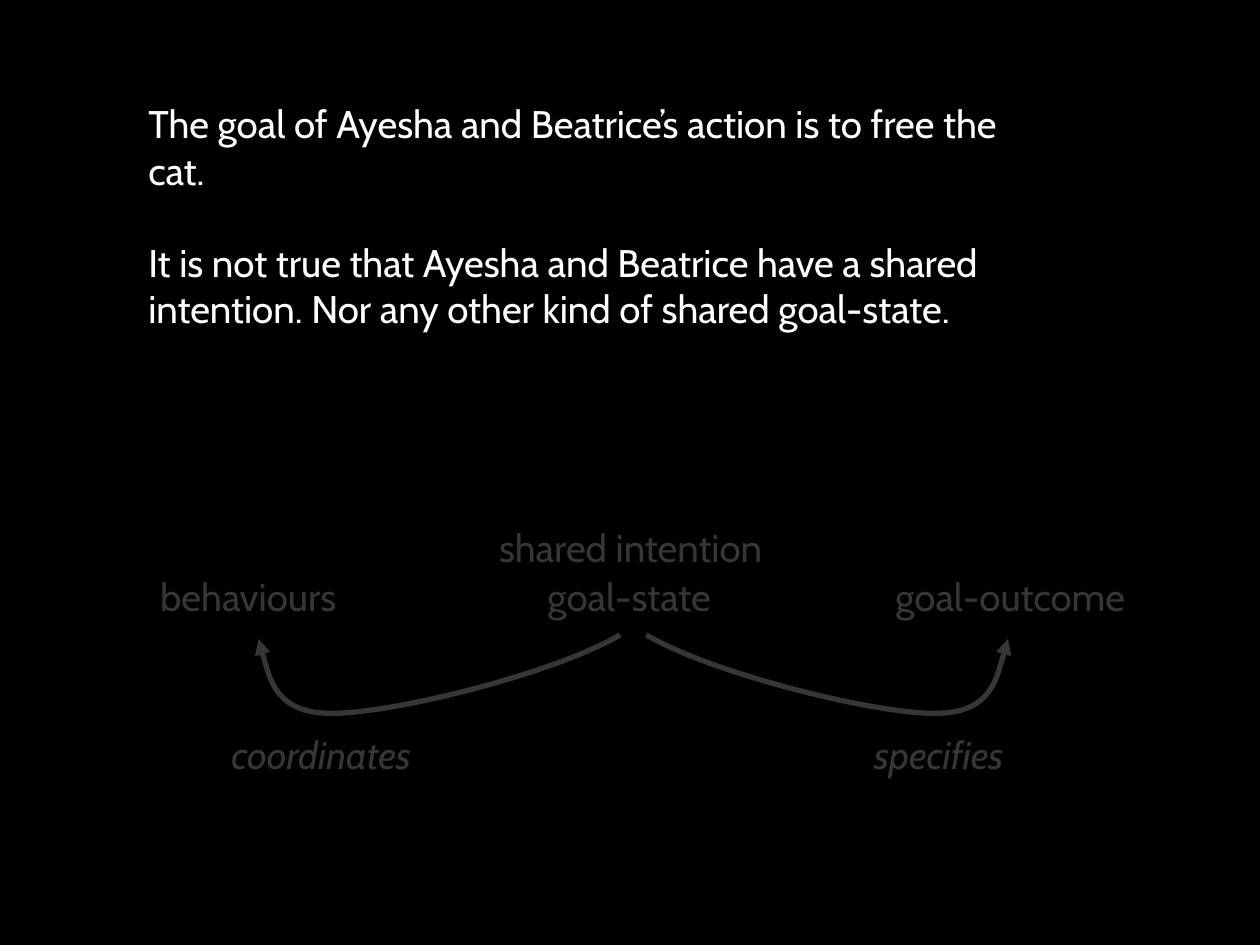
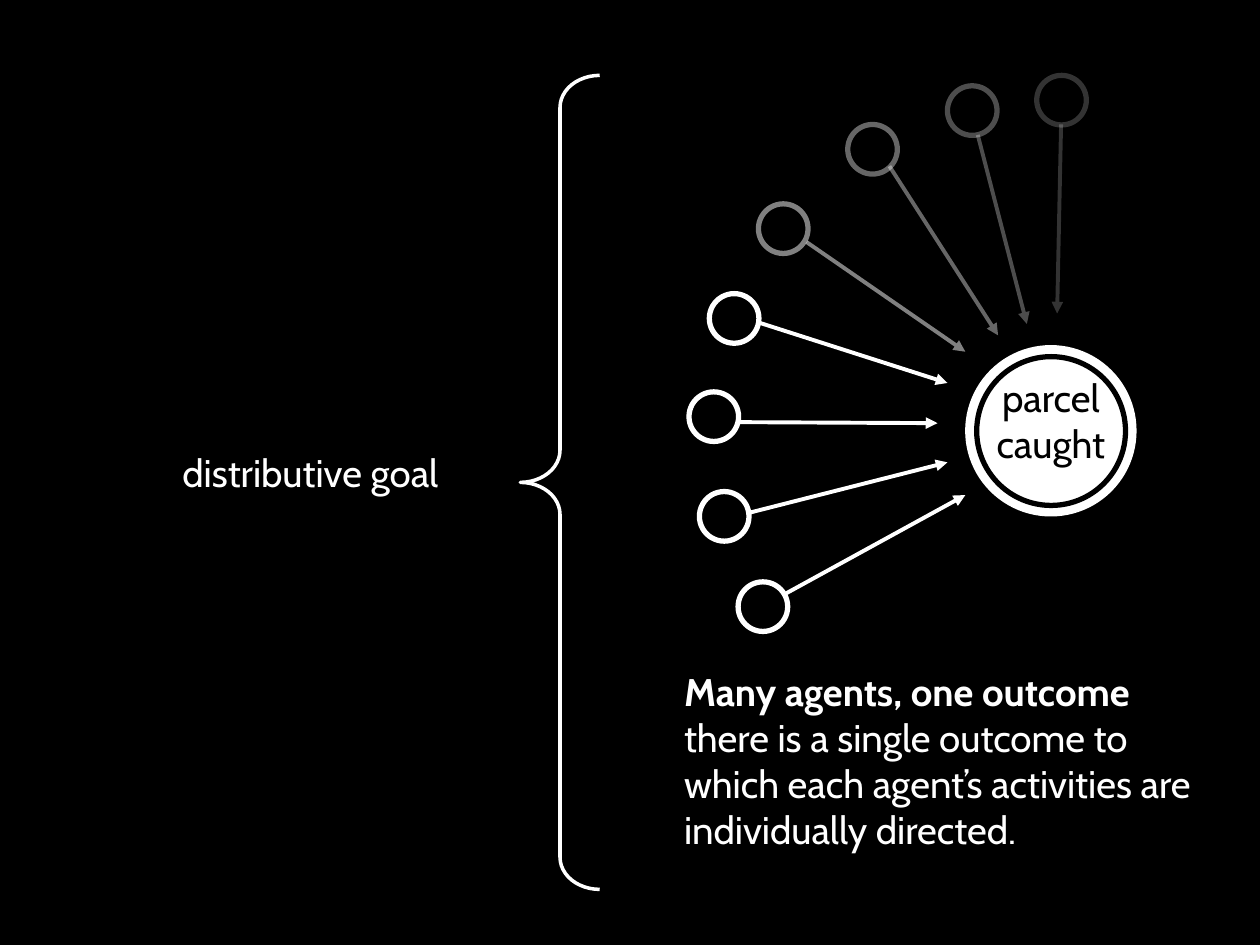
import pptx
import pptx.dml.color
import pptx.enum.shapes
import pptx.enum.text
import pptx.oxml
import pptx.oxml.ns
import pptx.util
from lxml import etree

Cm = pptx.util.Cm
SHAPE = pptx.enum.shapes.MSO_SHAPE
ALIGN = pptx.enum.text.PP_ALIGN
qn = pptx.oxml.ns.qn

BLACK = "000000"
WHITE = "FFFFFF"


def rgb(hex_colour):
    return pptx.dml.color.RGBColor.from_string(hex_colour)


class Deck:
    """Holds the shared style and the slide being filled."""

    font_name = "Cabin"
    font_size = 22
    label_height = 1.19

    def __init__(self):
        self.presentation = pptx.Presentation()
        self.presentation.slide_width = Cm(25.4)
        self.presentation.slide_height = Cm(19.05)
        self.paint(self.presentation.slide_master.background.fill, BLACK)
        self.slide = None

    def new_slide(self):
        blank = self.presentation.slide_layouts[6]
        self.slide = self.presentation.slides.add_slide(blank)

    def paint(self, fill, colour, opacity=100):
        if colour is None:
            fill.background()
            return
        fill.solid()
        fill.fore_color.rgb = rgb(colour)
        if opacity < 100:
            # The fill's own colour element takes the transparency
            colour_element = fill._xPr.find(".//" + qn("a:srgbClr"))
            alpha = etree.SubElement(colour_element, qn("a:alpha"))
            alpha.set("val", str(opacity * 1000))

    def stroke(self, line, colour, width, opacity=100, arrow=False):
        self.paint(line.fill, colour, opacity)
        line.width = pptx.util.Pt(width)
        if arrow:
            tip = etree.SubElement(line._get_or_add_ln(), qn("a:tailEnd"))
            tip.set("type", "triangle")

    def text(self, left, top, width, height, paragraphs, colour=WHITE,
             align=ALIGN.LEFT, italic=False, gap=0):
        """Each paragraph is a list of (text, bold) runs."""
        box = self.slide.shapes.add_textbox(
            Cm(left), Cm(top), Cm(width), Cm(height))
        frame = box.text_frame
        frame.word_wrap = True
        for index, pieces in enumerate(paragraphs):
            paragraph = frame.add_paragraph() if index else frame.paragraphs[0]
            paragraph.alignment = align
            if index:
                paragraph.space_before = pptx.util.Pt(gap)
            for wording, bold in pieces:
                if "\n" in wording:
                    paragraph.text = wording.replace("\n", "\v")
                else:
                    paragraph.add_run().text = wording
                    paragraph.runs[-1].font.bold = bold
            for run in paragraph.runs:
                run.font.name = self.font_name
                run.font.size = pptx.util.Pt(self.font_size)
                run.font.italic = italic
                run.font.color.rgb = rgb(colour)

    def label(self, left, top, width, wording, align=ALIGN.CENTER,
              italic=False):
        self.text(left, top, width, self.label_height, [[(wording, False)]],
                  align=align, italic=italic)

    def shape(self, preset, left, top, width, height, fill=None, line=None,
              line_width=3, fill_opacity=100, line_opacity=100):
        shape = self.slide.shapes.add_shape(
            preset, Cm(left), Cm(top), Cm(width), Cm(height))
        shape.shadow.inherit = False
        self.paint(shape.fill, fill, fill_opacity)
        self.stroke(shape.line, line, line_width, line_opacity)
        return shape

    def circle(self, left, top, size, **style):
        return self.shape(SHAPE.OVAL, left, top, size, size, **style)

    def arrow(self, start, end, opacity=100):
        connector = self.slide.shapes.add_connector(
            pptx.enum.shapes.MSO_CONNECTOR.STRAIGHT,
            *(Cm(length) for length in start + end))
        self.stroke(connector.line, WHITE, 2.25, opacity, arrow=True)
        etree.SubElement(connector._element.spPr, qn("a:effectLst"))

    def curved_arrow(self, points):
        """Draws a start point followed by groups of three Bézier points."""
        start, *rest = [(Cm(x), Cm(y)) for x, y in points]
        builder = self.slide.shapes.build_freeform(*start)
        builder.add_line_segments(rest, close=False)
        curve = builder.convert_to_shape()
        curve.shadow.inherit = False
        self.paint(curve.fill, None)
        self.stroke(curve.line, WHITE, 3, arrow=True)

        # Turn every three straight segments into one cubic segment
        outline = curve._element.find(".//" + qn("a:path"))
        segments = outline.findall(qn("a:lnTo"))
        for first in range(0, len(segments), 3):
            cubic = etree.SubElement(outline, qn("a:cubicBezTo"))
            for segment in segments[first:first + 3]:
                cubic.append(segment[0])
                outline.remove(segment)


def shared_intention_slide(deck):
    deck.new_slide()

    # Diagram labels
    label_width = 5.33
    for column, part in enumerate(["behaviours", "goal-state", "goal-outcome"]):
        deck.label(2.34 + 7.68 * column, 11.43, label_width, part)
    deck.label(8.69, 10.44, 8.05, "shared intention")
    for left, relation in [(3.81, "coordinates"), (16.26, "specifies")]:
        deck.label(left, 14.61, label_width, relation, italic=True)

    # Mirrored arrows from the goal-state
    to_behaviours = [(12.5, 12.8), (11.15, 13.59), (7.92, 14.38), (6.71, 14.38),
                     (5.49, 14.4), (5.21, 12.88), (5.21, 12.88)]
    mirror_sum = 25.53
    to_outcome = [(mirror_sum - x, y) for x, y in to_behaviours]
    deck.curved_arrow(to_behaviours)
    deck.curved_arrow(to_outcome)

    # Claims
    deck.text(2.74, 1.9, 18.62, 4.95, [
        [("The goal of Ayesha and Beatrice’s action is to free the cat.",
          False)],
        [("It is not true that Ayesha and Beatrice have a shared intention. "
          "Nor any other kind of shared goal-state.", False)],
    ], gap=26.5)

    # Veil that dims the diagram
    deck.shape(SHAPE.RECTANGLE, 2.31, 9.73, 21.01, 6.81,
               fill=BLACK, fill_opacity=79)


def distributive_goal_slide(deck):
    deck.new_slide()

    # Agents: circle corner, arrow start, arrow end, opacity
    agents = [
        ((14.88, 11.73), (15.85, 11.96), (19.46, 9.98), 100),
        ((14.1, 9.91), (15.09, 10.34), (19.1, 9.32), 100),
        ((13.89, 7.9), (14.91, 8.51), (18.9, 8.53), 100),
        ((14.3, 5.92), (15.29, 6.5), (19.1, 7.72), 100),
        ((15.29, 4.11), (16.26, 4.88), (19.46, 7.09), 50),
        ((17.09, 2.51), (17.93, 3.35), (20.12, 6.76), 40),
        ((19.1, 1.73), (19.71, 2.72), (20.7, 6.53), 30),
        ((20.9, 1.52), (21.39, 2.51), (21.31, 6.32), 20),
    ]
    for corner, start, end, opacity in agents:
        deck.circle(*corner, 1, line=WHITE, line_opacity=opacity)
        deck.arrow(start, end, opacity)

    # Outcome
    deck.circle(19.51, 7.01, 3.35, fill=WHITE, line=WHITE)
    deck.text(19.66, 7.42, 3.05, 2.13, [[("parcel\ncaught", False)]],
              colour=BLACK, align=ALIGN.CENTER)
    deck.circle(19.69, 7.19, 3, line=BLACK)

    # Explanation
    deck.text(13.54, 13.34, 10.8, 4.01, [[
        ("Many agents, one outcome", True),
        (" there is a single outcome to which each agent’s activities are "
         "individually directed.", False),
    ]])

    # Term and brace
    deck.label(1.09, 8.92, 8, "distributive goal", align=ALIGN.RIGHT)
    brace = deck.shape(SHAPE.LEFT_BRACE, 10.49, 1.52, 1.6, 16.41,
                       line=WHITE, line_width=2)
    brace.adjustments[0] = 0.405
    brace.adjustments[1] = 0.5


def main():
    deck = Deck()
    shared_intention_slide(deck)
    distributive_goal_slide(deck)
    deck.presentation.save("out.pptx")


if __name__ == "__main__":
    main()
